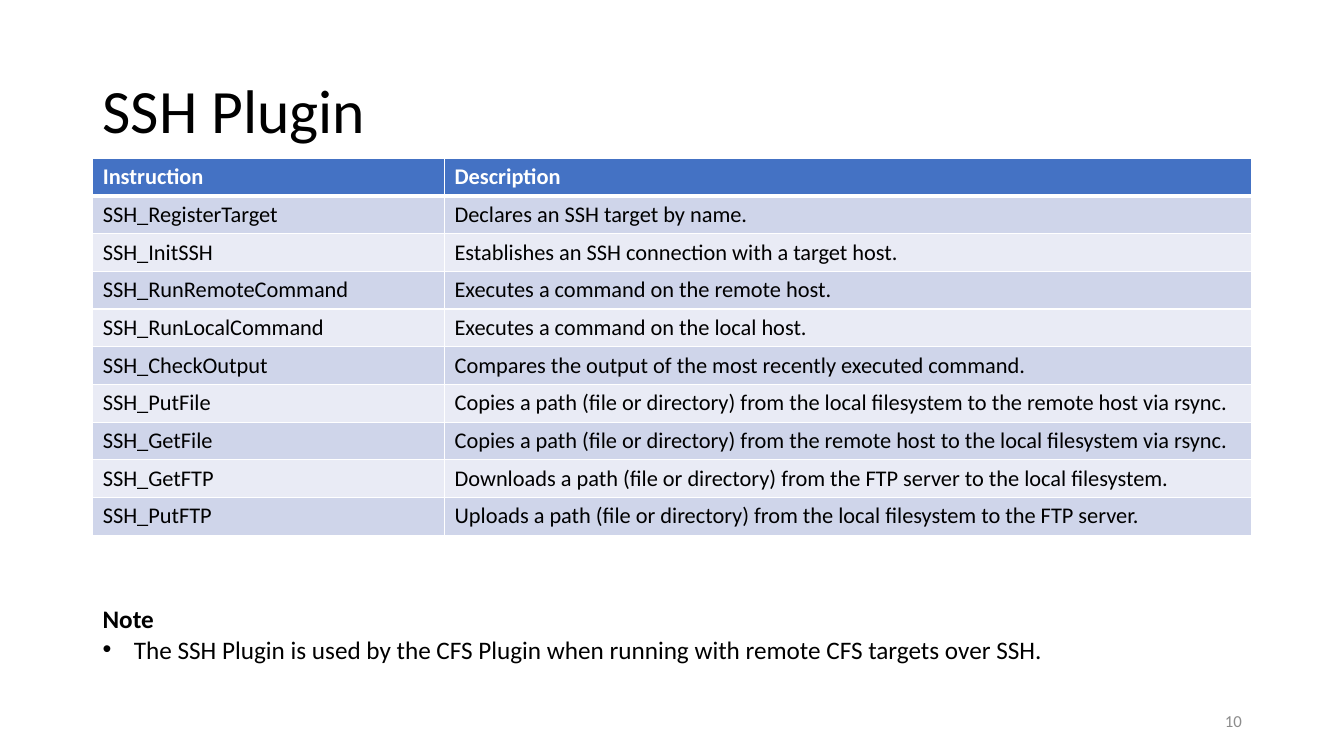
import pptx
import pptx.dml.color
import pptx.enum.text
import pptx.oxml
import pptx.oxml.ns
import pptx.util

SLIDE_WIDTH = pptx.util.Inches(13.33)
SLIDE_HEIGHT = pptx.util.Inches(7.5)
MARGIN = 6.9
CONTENT_WIDTH = 86.25
INSTRUCTION_SHARE = 30.35
HEADER_FILL = "4472C4"
BAND_FILLS = ("E9EBF5", "CFD5EA")
BODY_FORMAT = {"name": "Calibri", "size": pptx.util.Pt(16), "bold": False}
HEADER_FORMAT = {**BODY_FORMAT, "bold": True}
TITLE_FORMAT = {**BODY_FORMAT, "size": pptx.util.Pt(44)}
NUMBER_FORMAT = {**BODY_FORMAT, "size": pptx.util.Pt(12)}
NOTE_FORMAT = {**BODY_FORMAT, "size": pptx.util.Pt(18)}
NOTE_HEADING_FORMAT = {**NOTE_FORMAT, "bold": True}

INSTRUCTIONS = [
    ("Instruction", "Description"),
    ("SSH_RegisterTarget", "Declares an SSH target by name."),
    ("SSH_InitSSH", "Establishes an SSH connection with a target host."),
    ("SSH_RunRemoteCommand", "Executes a command on the remote host."),
    ("SSH_RunLocalCommand", "Executes a command on the local host."),
    ("SSH_CheckOutput", "Compares the output of the most recently executed command."),
    ("SSH_PutFile", "Copies a path (file or directory) from the local filesystem to the remote host via rsync."),
    ("SSH_GetFile", "Copies a path (file or directory) from the remote host to the local filesystem via rsync."),
    ("SSH_GetFTP", "Downloads a path (file or directory) from the FTP server to the local filesystem."),
    ("SSH_PutFTP", "Uploads a path (file or directory) from the local filesystem to the FTP server."),
]


def color(value):
    return pptx.dml.color.RGBColor.from_string(value)


def place(left, top, width, height):
    sizes = (SLIDE_WIDTH, SLIDE_HEIGHT) * 2
    return [round(size * share / 100) for size, share in zip(sizes, (left, top, width, height))]


def write(paragraph, words, text_format, text_color="000000"):
    paragraph.add_run().text = words
    for key, value in text_format.items():
        setattr(paragraph.font, key, value)
        setattr(paragraph.runs[0].font, key, value)
    paragraph.runs[0].font.color.rgb = color(text_color)


def add_text_frame(slide, area, anchor):
    frame = slide.shapes.add_textbox(*place(*area)).text_frame
    frame.word_wrap = True
    frame.vertical_anchor = anchor
    return frame


def add_bullet(paragraph):
    properties = paragraph._p.get_or_add_pPr()
    indent = pptx.util.Inches(0.31)
    properties.set("marL", str(indent))
    properties.set("indent", str(-indent))
    namespace = pptx.oxml.ns.nsdecls("a")
    properties.append(pptx.oxml.parse_xml(f'<a:buFont {namespace} typeface="Arial"/>'))
    properties.append(pptx.oxml.parse_xml(f'<a:buChar {namespace} char="•"/>'))


def add_borders(cell, is_header):
    properties = cell._tc.get_or_add_tcPr()
    namespace = pptx.oxml.ns.nsdecls("a")
    for index, side in enumerate(("lnL", "lnR", "lnT", "lnB")):
        width = pptx.util.Pt(3 if is_header and side == "lnB" else 1)
        properties.insert(index, pptx.oxml.parse_xml(
            f'<a:{side} {namespace} w="{width}"><a:solidFill>'
            f'<a:srgbClr val="FFFFFF"/></a:solidFill></a:{side}>'))


def add_instruction_table(slide, area):
    left, top, width, height = place(*area)
    table = slide.shapes.add_table(len(INSTRUCTIONS), 2, left, top, width, height).table
    instruction_width = round(width * INSTRUCTION_SHARE / 100)
    table.columns[0].width = instruction_width
    table.columns[1].width = width - instruction_width
    for row, entries in enumerate(INSTRUCTIONS):
        is_header = row == 0
        for column, words in enumerate(entries):
            cell = table.cell(row, column)
            cell.fill.solid()
            cell.fill.fore_color.rgb = color(HEADER_FILL if is_header else BAND_FILLS[row % 2])
            add_borders(cell, is_header)
            write(cell.text_frame.paragraphs[0], words,
                  HEADER_FORMAT if is_header else BODY_FORMAT,
                  "FFFFFF" if is_header else "000000")


def add_note(slide, area):
    frame = add_text_frame(slide, area, pptx.enum.text.MSO_ANCHOR.TOP)
    write(frame.paragraphs[0], "Note", NOTE_HEADING_FORMAT)
    remark = frame.add_paragraph()
    add_bullet(remark)
    write(remark, "The SSH Plugin is used by the CFS Plugin when running with remote CFS targets over SSH.",
          NOTE_FORMAT)


def main():
    presentation = pptx.Presentation()
    presentation.slide_width = SLIDE_WIDTH
    presentation.slide_height = SLIDE_HEIGHT
    slide = presentation.slides.add_slide(presentation.slide_layouts[6])
    middle = pptx.enum.text.MSO_ANCHOR.MIDDLE

    title = add_text_frame(slide, (MARGIN, 5.33, CONTENT_WIDTH, 19.33), middle).paragraphs[0]
    title.line_spacing = 0.9
    write(title, "SSH Plugin", TITLE_FORMAT)

    number = add_text_frame(slide, (70.65, 92.67, 22.5, 5.33), middle).paragraphs[0]
    number.alignment = pptx.enum.text.PP_ALIGN.RIGHT
    write(number, "10", NUMBER_FORMAT, "8C8C8C")

    add_instruction_table(slide, (MARGIN, 20.93, CONTENT_WIDTH, 49.87))
    add_note(slide, (MARGIN, 79.2, CONTENT_WIDTH, 13.47))
    presentation.save("out.pptx")


if __name__ == "__main__":
    main()
